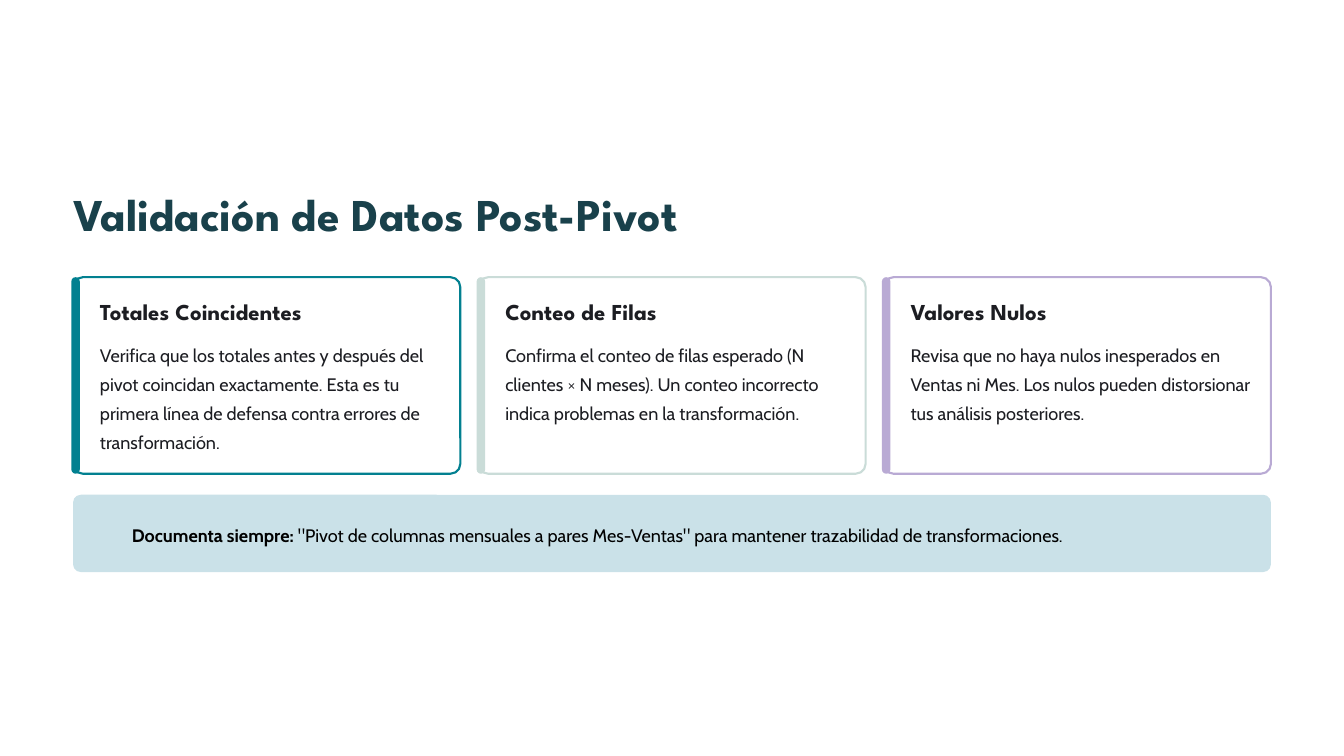
import pptx
import pptx.util
import pptx.dml.color
import pptx.enum.shapes
import pptx.enum.text

Inches, Pt = pptx.util.Inches, pptx.util.Pt
WIDTH, HEIGHT = 16, 9
MARGIN = 0.87
CONTENT = WIDTH - 2 * MARGIN
CARD_WIDTH, CARD_HEIGHT, CARD_TOP = 4.61, 2.34, 3.3
HEADING, BODY = "League Spartan", "Cabin"
INK = "1C1D22"


def rounded(left, top, width, height, radius, fill, line=None):
    shape = page.shapes.add_shape(
        pptx.enum.shapes.MSO_SHAPE.ROUNDED_RECTANGLE,
        Inches(left), Inches(top), Inches(width), Inches(height))
    shape.shadow.inherit = False
    shape.adjustments[0] = radius
    shape.fill.solid()
    shape.fill.fore_color.rgb = pptx.dml.color.RGBColor.from_string(fill)
    if line:
        shape.line.color.rgb = pptx.dml.color.RGBColor.from_string(line)
        shape.line.width = Pt(1.8)
    else:
        shape.line.fill.background()


def write(box, place, spans, font, size, color, spacing):
    """Fill a box with one paragraph of (text, bold) spans."""
    box.left, box.top, box.width, box.height = map(Inches, place)
    frame = box.text_frame
    frame.margin_left = frame.margin_top = 0
    frame.margin_right = frame.margin_bottom = 0
    frame.word_wrap = True
    frame.auto_size = pptx.enum.text.MSO_AUTO_SIZE.NONE
    frame.vertical_anchor = pptx.enum.text.MSO_ANCHOR.TOP
    para = frame.paragraphs[0]
    para.alignment = pptx.enum.text.PP_ALIGN.LEFT
    para.line_spacing = Pt(spacing)
    for text, bold in spans:
        span = para.add_run()
        span.text = text
        span.font.name, span.font.size, span.font.bold = font, Pt(size), bold
        span.font.color.rgb = pptx.dml.color.RGBColor.from_string(color)


deck = pptx.Presentation()
deck.slide_width, deck.slide_height = Inches(WIDTH), Inches(HEIGHT)
page = deck.slides.add_slide(deck.slide_layouts[5])

# Title
write(page.shapes.title, (MARGIN, 2.19, 7.99, 0.68),
      [("Validación de Datos Post-Pivot", True)], HEADING, 39, "19414B", 48.5)

# Three validation cards, each with a coloured bar on its left edge
cards = [
    ("Totales Coincidentes", "028090",
     "Verifica que los totales antes y después del pivot coincidan "
     "exactamente. Esta es tu primera línea de defensa contra errores de "
     "transformación."),
    ("Conteo de Filas", "CADCD8",
     "Confirma el conteo de filas esperado (N clientes × N meses). Un conteo "
     "incorrecto indica problemas en la transformación."),
    ("Valores Nulos", "B9AAD4",
     "Revisa que no haya nulos inesperados en Ventas ni Mes. Los nulos pueden "
     "distorsionar tus análisis posteriores."),
]
pitch = (CONTENT - CARD_WIDTH) / (len(cards) - 1)
for column, (heading, accent, detail) in enumerate(cards):
    left = MARGIN + column * pitch
    rounded(left, CARD_TOP, CARD_WIDTH, CARD_HEIGHT, 0.05, "FFFFFF", accent)
    rounded(left - 0.02, CARD_TOP, 0.1, CARD_HEIGHT, 0.5, accent)
    for top, height, text, bold, font, size, spacing in (
            (3.54, 0.34, heading, True, HEADING, 19.5, 24),
            (4.01, 1.39, detail, False, BODY, 15.5, 25)):
        box = page.shapes.add_textbox(0, 0, 0, 0)
        write(box, (left + 0.32, top, 4.05, height), [(text, bold)],
              font, size, INK, spacing)

# Documentation note
rounded(MARGIN, 5.89, CONTENT, 0.92, 0.1, "CAE1E8")
note = page.shapes.add_textbox(0, 0, 0, 0)
write(note, (1.57, 6.16, 13.34, 0.35),
      [("Documenta siempre:", True),
       (' "Pivot de columnas mensuales a pares Mes-Ventas" para mantener '
        "trazabilidad de transformaciones.", False)],
      BODY, 15.5, "000000", 25)

deck.save("out.pptx")
